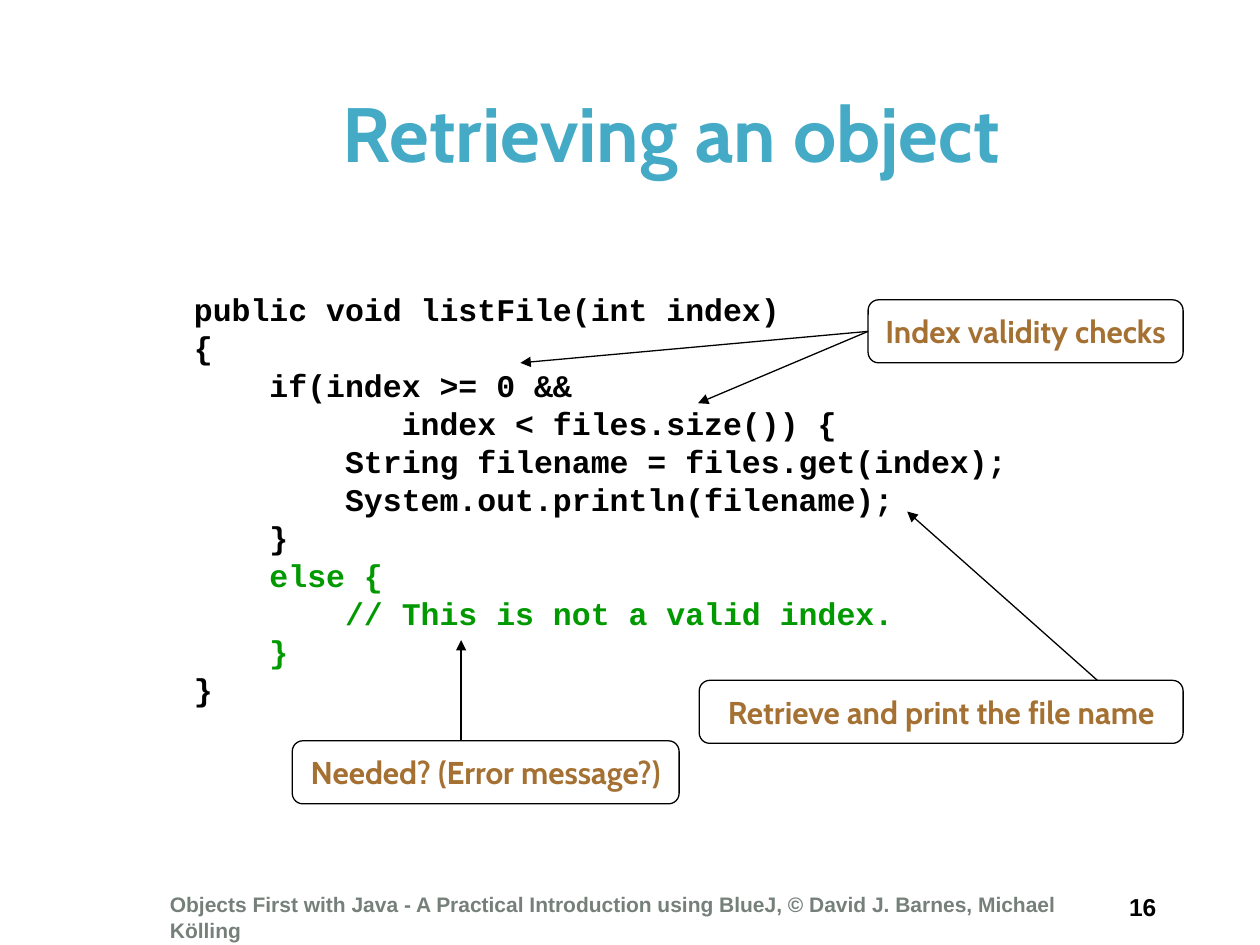
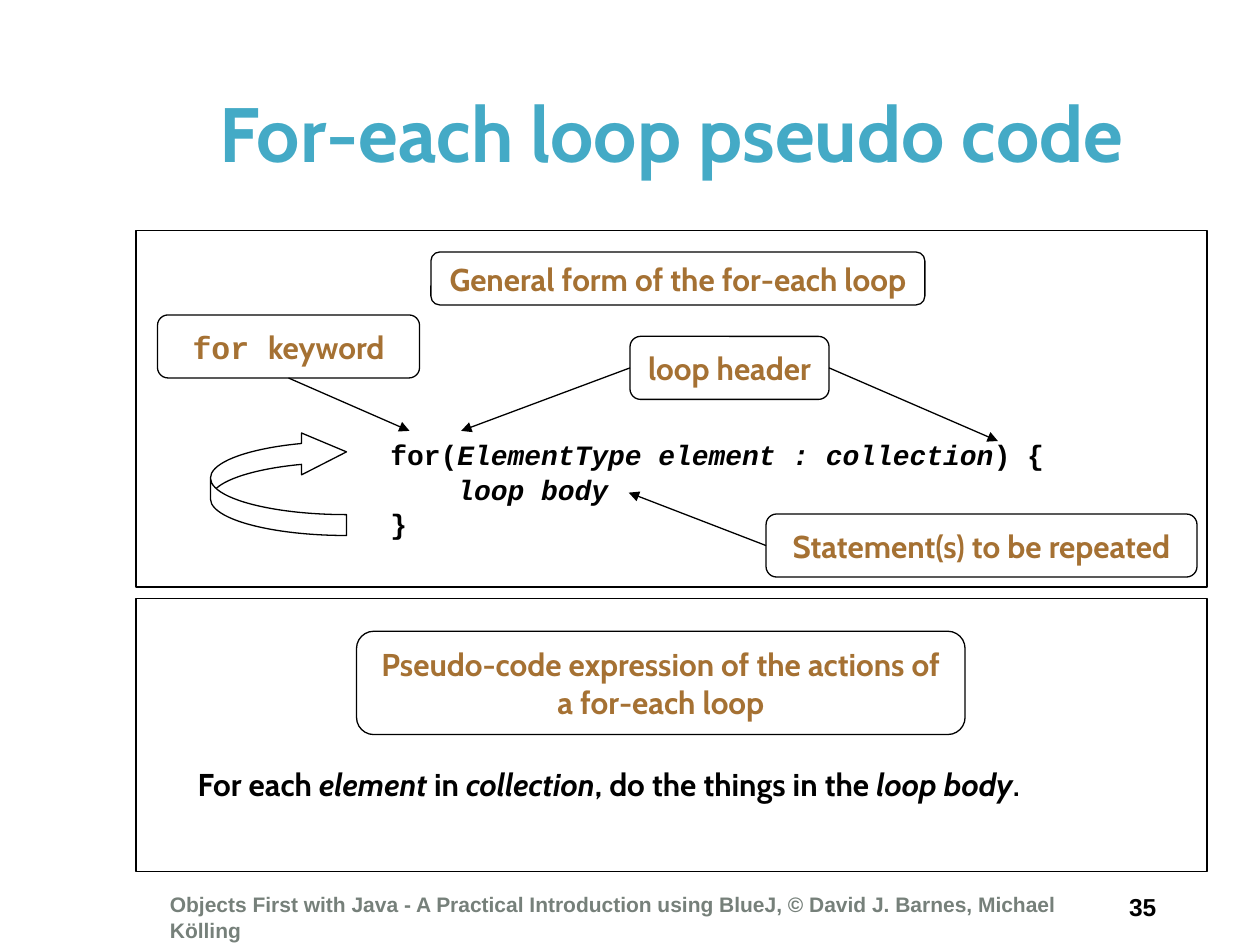
"""Build two slides about retrieving objects and the for-each loop."""
from lxml import etree
from pptx import Presentation
from pptx.dml.color import RGBColor
from pptx.enum import shapes, text
from pptx.oxml import ns
from pptx.util import Inches, Pt

HUES = {"title": "44AAC6", "foot": "76807A", "label": "A57133",
        "ink": "000000", "green": "009900"}
SANS, HEAD, MONO = "Arial", "Cabin", "Courier New"
KINDS = shapes.MSO_SHAPE
LEFT, CENTER, RIGHT = (text.PP_ALIGN.LEFT, text.PP_ALIGN.CENTER,
                       text.PP_ALIGN.RIGHT)
MIDDLE = text.MSO_ANCHOR.MIDDLE
ITALIC = {"italic": True}
GREEN = {"hue": "green"}
FOOT = ("Objects First with Java - A Practical Introduction using BlueJ, "
        "© David J. Barnes, Michael Kölling")
METHOD = [
    [("public void listFile(int index)", {})],
    [("{", {})],
    [("    if(index >= 0 &&", {})],
    [("           index < files.size()) {", {})],
    [("        String filename = files.get(index);", {})],
    [("        System.out.println(filename);", {})],
    [("    }", {})],
    [("    else {", GREEN)],
    [("        // This is not a valid index.", GREEN)],
    [("    }", GREEN)],
    [("}", {})],
]
LOOP = [
    [("for(", {}), ("ElementType element : collection", ITALIC), (") {", {})],
    [("    ", {}), ("loop body", ITALIC)],
    [("}", {})],
]
PSEUDO = [
    ("For each ", {}), ("element", ITALIC), (" in ", {}),
    ("collection", ITALIC), (", do the things in the ", {}),
    ("loop body", ITALIC), (".", {"size": 16}),
]


def color(hue):
    """Return the named colour."""
    return RGBColor.from_string(HUES[hue])


def add_run(para, words, font, size, hue, italic=False):
    """Add one bold run to a paragraph."""
    run = para.add_run()
    run.text = words
    run.font.name, run.font.size = font, Pt(size)
    run.font.bold, run.font.italic = True, italic
    run.font.color.rgb = color(hue)


def write(frame, lines, font, size, hue="ink", align=LEFT, pitch=None):
    """Fill a text frame with lines of (words, changes) runs."""
    base = {"font": font, "size": size, "hue": hue}
    for num, runs in enumerate(lines):
        para = frame.add_paragraph() if num else frame.paragraphs[0]
        para.alignment = align
        if pitch:
            para.line_spacing = Pt(pitch)
        for words, change in runs:
            add_run(para, words, **{**base, **change})


def add_text(slide, box, lines, font, size, wrap=True, anchor=None, **style):
    """Add a text box."""
    frame = slide.shapes.add_textbox(*map(Inches, box)).text_frame
    frame.word_wrap = wrap
    if anchor is not None:
        frame.vertical_anchor = anchor
    write(frame, lines, font, size, **style)


def add_form(slide, kind, box):
    """Add an unfilled shape with a thin black outline."""
    form = slide.shapes.add_shape(kind, *map(Inches, box))
    form.shadow.inherit = False
    form.fill.background()
    form.line.color.rgb = color("ink")
    form.line.width = Pt(0.75)
    return form


def add_label(slide, box, *runs, wrap=False):
    """Add a rounded label with centred text."""
    form = add_form(slide, KINDS.ROUNDED_RECTANGLE, box)
    form.text_frame.word_wrap = wrap
    form.text_frame.vertical_anchor = MIDDLE
    write(form.text_frame, [runs], HEAD, 18, "label", CENTER)
    return form


def add_arrow(slide, start, end, label=None, site=None):
    """Draw an arrow, joined to a label's side when one is given."""
    line = slide.shapes.add_connector(
        shapes.MSO_CONNECTOR.STRAIGHT, *map(Inches, start + end))
    if label is not None:
        line.begin_connect(label, site)
    line.line.color.rgb = color("ink")
    line.line.width = Pt(0.75)
    tip = etree.SubElement(line.line._get_or_add_ln(), ns.qn("a:tailEnd"))
    tip.set("type", "triangle")
    etree.SubElement(line._element.spPr, ns.qn("a:effectLst"))


def add_base(deck, title, number):
    """Add a slide with its title, footer and number."""
    slide = deck.slides.add_slide(deck.slide_layouts[6])
    add_text(slide, (8.75, 7.03, 0.58, 0.33), [[(f"{number} ", {})]],
             SANS, 14, align=RIGHT)
    add_text(slide, (1.08, 0.42, 8.5, 1.25), [[(title, {})]], HEAD, 44,
             anchor=MIDDLE, hue="title", align=CENTER)
    add_text(slide, (1.25, 7.03, 7.58, 0.33), [[(FOOT, {})]],
             SANS, 12, hue="foot")
    return slide


def add_method(deck):
    """Build the slide on retrieving an object."""
    slide = add_base(deck, "Retrieving an object", 16)
    add_text(slide, (1.44, 2.25, 6.65, 3.4), METHOD, MONO, 18,
             wrap=False, pitch=21.7)
    check = add_label(slide, (6.89, 2.38, 2.5, 0.5),
                      ("Index validity checks", {}))
    add_label(slide, (5.55, 5.4, 3.84, 0.5),
              ("Retrieve and print the file name", {}))
    add_label(slide, (2.32, 5.88, 3.07, 0.5),
              ("Needed? (Error message?)", {}))
    for end in ((4.13, 2.88), (5.54, 3.2)):
        add_arrow(slide, (6.89, 2.63), end, check, 1)
    add_arrow(slide, (8.71, 5.4), (7.2, 4.06))
    add_arrow(slide, (3.66, 5.88), (3.66, 5.08))


def add_loop(deck):
    """Build the slide on the for-each loop."""
    slide = add_base(deck, "For-each loop pseudo code", 35)
    for top, height in ((1.83, 2.83), (4.75, 2.17)):
        add_form(slide, KINDS.RECTANGLE, (1.08, top, 8.5, height))
    add_text(slide, (3, 3.42, 5.42, 0.9), LOOP, MONO, 16, pitch=19.7)
    add_text(slide, (1.47, 6.02, 7.69, 0.4), [PSEUDO], HEAD, 18, wrap=False)
    add_label(slide, (3.42, 2, 3.92, 0.42),
              ("General form of the for-each loop", {}))
    add_label(slide, (2.83, 5.01, 4.83, 0.82),
              ("Pseudo-code expression of the actions of a for-each loop", {}),
              wrap=True)
    word = add_label(slide, (1.25, 2.5, 2.08, 0.5),
                     ("for ", {"font": MONO}), ("keyword", {}))
    head = add_label(slide, (5, 2.67, 1.58, 0.5), ("loop header", {}))
    body = add_label(slide, (6.08, 4.08, 3.42, 0.5),
                     ("Statement(s) to be repeated", {}))
    add_arrow(slide, (2.29, 3), (3.25, 3.42), word, 2)
    add_arrow(slide, (5, 2.92), (3.66, 3.42), head, 1)
    add_arrow(slide, (6.58, 2.92), (7.92, 3.5), head, 3)
    add_arrow(slide, (6.08, 4.33), (4.99, 3.91), body, 1)
    cycle = add_form(slide, KINDS.CURVED_LEFT_ARROW, (1.67, 3.42, 1.08, 0.83))
    cycle.rotation = 180
    for num, ratio in enumerate((0.2, 0.4, 0.43)):
        cycle.adjustments[num] = ratio


def main():
    """Build and save the deck."""
    deck = Presentation()
    deck.slide_width, deck.slide_height = Inches(10), Inches(7.5)
    add_method(deck)
    add_loop(deck)
    deck.save("out.pptx")


if __name__ == "__main__":
    main()
